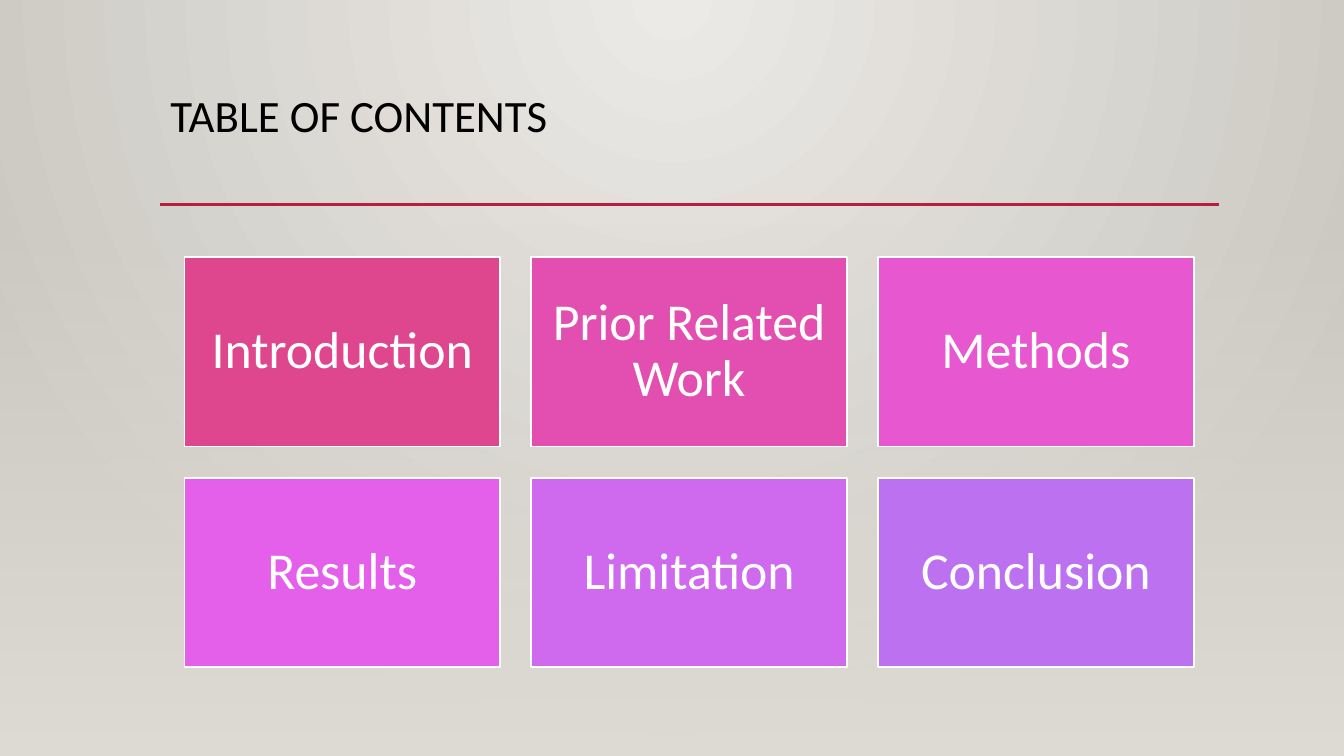
import pptx
import pptx.dml.color
import pptx.enum.shapes
import pptx.enum.text
import pptx.oxml
import pptx.oxml.ns
import pptx.util
from pptx.util import Inches

COLORS = {
    "glow": "ECEAE7",
    "edge": "CAC7C1",
    "floor": "DFDBD5",
    "rule": "B71E42",
    "title": "000000",
    "white": "FFFFFF",
}
TOPICS = [
    ("Introduction", "DE478E"),
    ("Prior Related Work", "E24FB0"),
    ("Methods", "E657D0"),
    ("Results", "E560EA"),
    ("Limitation", "CF69ED"),
    ("Conclusion", "BC72F0"),
]
COLUMNS = 3
CARD_WIDTH, CARD_HEIGHT = 3.13, 1.88
CARD_LEFT, CARD_TOP = 1.83, 2.55
COLUMN_STEP, ROW_STEP = 3.44, 2.19
NS = pptx.oxml.ns.nsdecls("a")


def rgb(color):
    return pptx.dml.color.RGBColor.from_string(color)


def set_gradient(fill, first, last):
    """Give the fill a two-stop gradient."""
    fill.gradient()
    for stop, name in zip(fill.gradient_stops, (first, last)):
        stop.color.rgb = rgb(COLORS[name])


deck = pptx.Presentation()
deck.slide_width, deck.slide_height = Inches(13.33), Inches(7.5)
slide = deck.slides.add_slide(deck.slide_layouts[5])

# Radial background, lightest at the top centre
set_gradient(slide.background.fill, "glow", "edge")
background = slide.element.find(".//" + pptx.oxml.ns.qn("a:gradFill"))
linear = background.find(pptx.oxml.ns.qn("a:lin"))
background.replace(linear, pptx.oxml.parse_xml(
    f'<a:path {NS} path="circle">'
    '<a:fillToRect l="43000" t="0" r="43000" b="100000"/></a:path>'))

# Floor that fades in towards the bottom
floor = slide.shapes.add_shape(
    pptx.enum.shapes.MSO_SHAPE.RECTANGLE,
    Inches(0), Inches(2.21), Inches(13.33), Inches(5.29))
floor.shadow.inherit = False
floor.line.fill.background()
set_gradient(floor.fill, "floor", "floor")
floor.fill.gradient_angle = 270
floor_start = floor.element.find(".//" + pptx.oxml.ns.qn("a:srgbClr"))
floor_start.append(pptx.oxml.parse_xml(f'<a:alpha {NS} val="0"/>'))

# Title and the rule below it
title = slide.shapes.title
title.left, title.top = Inches(1.59), Inches(0.88)
title.width, title.height = Inches(10.5), Inches(1.15)
title.text_frame.text = "TABLE OF CONTENTS"
title.text_frame.vertical_anchor = pptx.enum.text.MSO_ANCHOR.TOP
heading = title.text_frame.paragraphs[0]
heading.alignment = pptx.enum.text.PP_ALIGN.LEFT
heading.line_spacing = 0.9
heading.font.name = "Calibri"
heading.font.size = pptx.util.Pt(32)
heading.font.color.rgb = rgb(COLORS["title"])

rule = slide.shapes.add_connector(
    pptx.enum.shapes.MSO_CONNECTOR.STRAIGHT,
    Inches(1.59), Inches(2.03), Inches(12.09), Inches(2.03))
rule.line.color.rgb = rgb(COLORS["rule"])
rule.line.width = pptx.util.Pt(2.5)
rule.element.spPr.append(pptx.oxml.parse_xml(f"<a:effectLst {NS}/>"))

# Topic cards
for index, (topic, color) in enumerate(TOPICS):
    row, column = divmod(index, COLUMNS)
    card = slide.shapes.add_shape(
        pptx.enum.shapes.MSO_SHAPE.RECTANGLE,
        Inches(CARD_LEFT + column * COLUMN_STEP),
        Inches(CARD_TOP + row * ROW_STEP),
        Inches(CARD_WIDTH), Inches(CARD_HEIGHT))
    card.shadow.inherit = False
    card.fill.solid()
    card.fill.fore_color.rgb = rgb(color)
    card.line.color.rgb = rgb(COLORS["white"])
    card.line.width = pptx.util.Pt(1.25)

    frame = card.text_frame
    frame.text = topic
    frame.word_wrap = True
    frame.vertical_anchor = pptx.enum.text.MSO_ANCHOR.MIDDLE
    frame.margin_left = frame.margin_right = Inches(0.15)
    frame.margin_top = frame.margin_bottom = Inches(0.15)
    label = frame.paragraphs[0]
    label.alignment = pptx.enum.text.PP_ALIGN.CENTER
    label.line_spacing = 0.9
    label.font.name = "Calibri"
    label.font.size = pptx.util.Pt(37)
    label.font.color.rgb = rgb(COLORS["white"])

deck.save("out.pptx")
